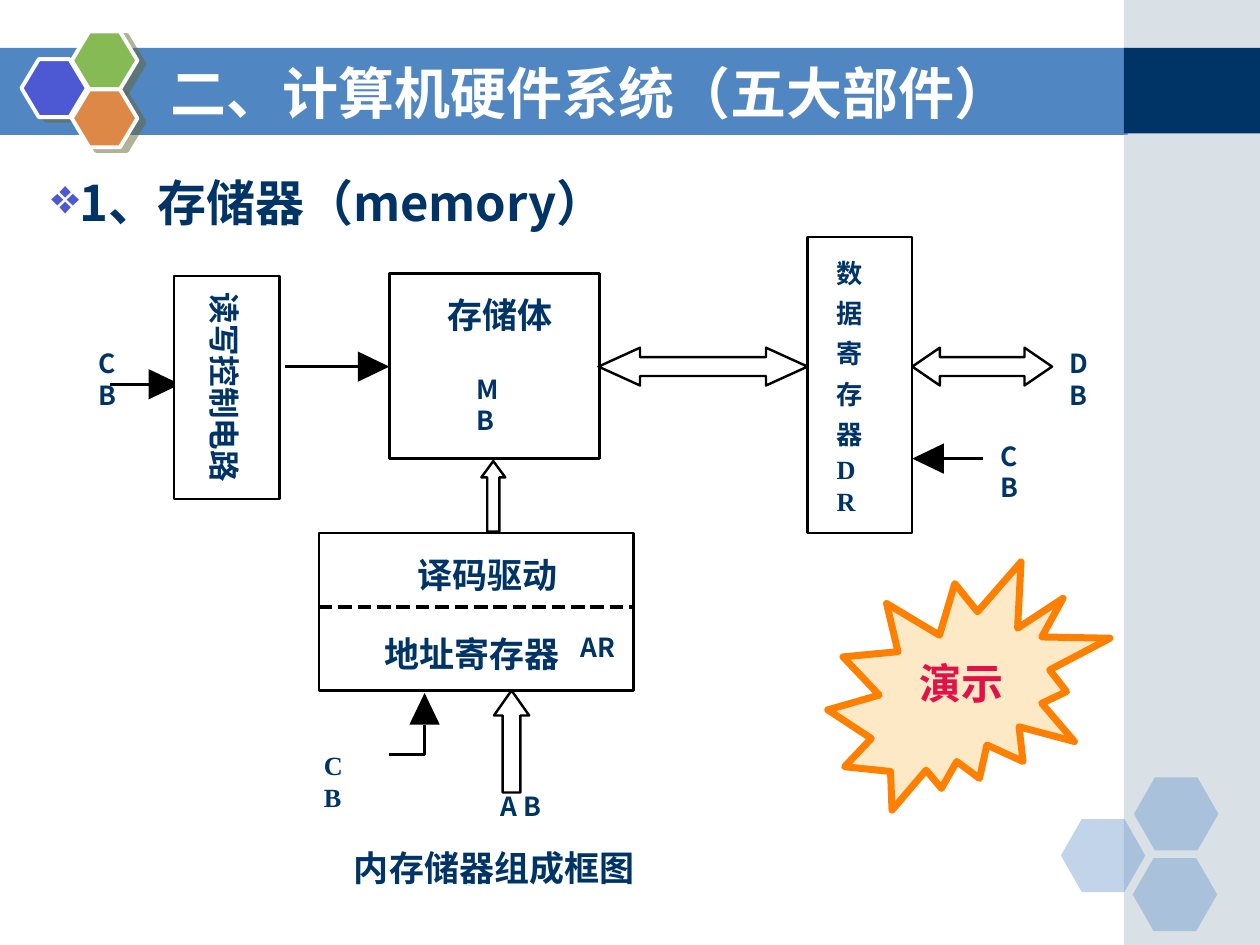
from dataclasses import dataclass

from lxml import etree
from pptx import Presentation
from pptx.dml.color import RGBColor
from pptx.enum.shapes import MSO_CONNECTOR, MSO_SHAPE
from pptx.enum.text import MSO_ANCHOR, PP_ALIGN
from pptx.oxml.ns import qn
from pptx.util import Inches, Pt

RECT, HEX = MSO_SHAPE.RECTANGLE, MSO_SHAPE.HEXAGON
SEAL = MSO_SHAPE.EXPLOSION2
WIDE, UP = MSO_SHAPE.LEFT_RIGHT_ARROW, MSO_SHAPE.UP_ARROW
LINE = MSO_CONNECTOR.STRAIGHT
TOP, MIDDLE = MSO_ANCHOR.TOP, MSO_ANCHOR.MIDDLE
LEFT, CENTER = PP_ALIGN.LEFT, PP_ALIGN.CENTER

SANS, SERIF = "Noto Sans CJK SC", "Times New Roman"
THIN = 1.38
COLORS = {
    "white": "FFFFFF", "black": "000000", "navy": "003366",
    "blue": "5086C2", "gray": "A0B5C4", "violet": "4C59D2",
    "green": "85BA54", "rust": "DE8848", "olive": "666633",
    "cream": "FDE9C6", "orange": "FF7F00", "red": "E41048",
}


@dataclass
class Block:
    kind: int
    box: tuple[float, float, float, float]
    fill: str = "white"
    line: str | None = "black"
    width: float = THIN
    adj: tuple[float, ...] = ()
    alpha: int = 100


@dataclass
class Label:
    text: str
    box: tuple[float, float, float, float]
    size: int = 15
    font: str = SANS
    wrap: bool = False
    turn: int = 0


@dataclass
class Arrow:
    start: tuple[float, float]
    tip: tuple[float, float]


def color(name: str) -> RGBColor:
    return RGBColor.from_string(COLORS[name])


def add(parent, tag: str, **attrs):
    return etree.SubElement(parent, qn(tag), {k: str(v) for k, v in attrs.items()})


def draw_block(shapes, item: Block):
    shape = shapes.add_shape(item.kind, *map(Inches, item.box))
    shape.shadow.inherit = False
    shape.fill.solid()
    shape.fill.fore_color.rgb = color(item.fill)
    if item.alpha < 100:
        tone = shape.fill._xPr.find(qn("a:solidFill"))[0]
        add(tone, "a:alpha", val=item.alpha * 1000)
    if item.line:
        shape.line.color.rgb = color(item.line)
        shape.line.width = Pt(item.width)
    else:
        shape.line.fill.background()
    for i, value in enumerate(item.adj):
        shape.adjustments[i] = value
    return shape


def draw_shade(shape) -> None:
    effects = shape._element.spPr.find(qn("a:effectLst"))
    shade = add(effects, "a:outerShdw", dist=Pt(4.5), dir=27 * 60000, algn="ctr", rotWithShape=0)
    tone = add(shade, "a:srgbClr", val=COLORS["olive"])
    add(tone, "a:alpha", val=50000)


def draw_line(shapes, start, end, width: float = THIN):
    line = shapes.add_connector(LINE, *map(Inches, (*start, *end)))
    line.line.color.rgb = color("black")
    line.line.width = Pt(width)
    add(line._element.spPr, "a:effectLst")
    return line


def draw_arrow(shapes, item: Arrow) -> None:
    (x, y), (tx, ty) = item.start, item.tip
    span = abs(tx - x) + abs(ty - y)
    dx, dy = (tx - x) / span, (ty - y) / span
    bx, by = tx - 0.25 * dx, ty - 0.25 * dy
    draw_line(shapes, item.start, (bx, by))
    wx, wy = 0.12 * dy, 0.12 * dx
    pen = shapes.build_freeform(Inches(bx + wx), Inches(by + wy), scale=1.0)
    pen.add_line_segments([(Inches(tx), Inches(ty)), (Inches(bx - wx), Inches(by - wy))])
    head = pen.convert_to_shape()
    head.shadow.inherit = False
    head.fill.solid()
    head.fill.fore_color.rgb = color("black")
    head.line.fill.background()


def set_text(frame, text: str, size: int, tone: str = "navy", font: str = SANS,
             align=LEFT, anchor=TOP, wrap: bool = True, bullet: str = "") -> None:
    frame.word_wrap = wrap
    frame.vertical_anchor = anchor
    frame.text = text
    para = frame.paragraphs[0]
    para.alignment = align
    if bullet:
        para.line_spacing = 0.8
        props = para._p.get_or_add_pPr()
        props.set("marL", str(Inches(0.2)))
        props.set("indent", str(Inches(-0.2)))
        add(add(props, "a:buClr"), "a:srgbClr", val=COLORS["violet"])
        add(props, "a:buChar", char=bullet)
    para.font.size, para.font.bold, para.font.name = Pt(size), True, font
    para.font.color.rgb = color(tone)
    add(para._p.pPr.find(qn("a:defRPr")), "a:ea", typeface=font)


def draw_label(shapes, item: Label) -> None:
    box = shapes.add_textbox(*map(Inches, item.box))
    box.rotation = item.turn
    frame = box.text_frame
    frame.margin_left = frame.margin_right = frame.margin_top = frame.margin_bottom = 0
    set_text(frame, item.text, item.size, font=item.font, wrap=item.wrap)


BACK = [
    Block(RECT, (0, 0.38, 8.95, 0.69), "blue", None),
    Block(RECT, (8.92, 0, 1.08, 7.5), "gray", None, alpha=40),
    Block(RECT, (8.92, 0.38, 1.08, 0.68), "navy", None),
] + [
    Block(HEX, (x, y, 0.67, 0.58), "blue", None, adj=(0.286,), alpha=35)
    for x, y in ((8.42, 6.5), (9, 6.17), (8.99, 6.81))
]
CELLS = [
    Block(HEX, (x, y, 0.52, 0.46), fill, "white", 2.25, (0.3,))
    for x, y, fill in ((0.17, 0.47, "violet"), (0.57, 0.25, "green"), (0.57, 0.71, "rust"))
]
ARROWS = [
    Arrow((0.87, 3.05), (1.43, 3.05)),
    Arrow((2.26, 2.91), (3.09, 2.91)),
    Arrow((7.8, 3.64), (7.24, 3.64)),
    Arrow((3.37, 5.99), (3.37, 5.5)),
]
BLOCKS = [
    Block(SEAL, (6.57, 4.46, 2.24, 1.97), "cream", "orange", 4),
    Block(RECT, (1.38, 2.19, 0.84, 1.77)),
    Block(RECT, (3.09, 2.17, 1.67, 1.47)),
    Block(RECT, (2.53, 4.23, 2.5, 1.25)),
    Block(RECT, (6.41, 1.88, 0.83, 2.35)),
    Block(WIDE, (4.75, 2.76, 1.66, 0.3), adj=(0.5, 1.1)),
    Block(WIDE, (7.24, 2.76, 1.11, 0.3), adj=(0.5, 0.73)),
    Block(UP, (3.92, 5.48, 0.28, 0.81), adj=(0.5, 0.71)),
    Block(UP, (3.82, 3.66, 0.19, 0.56), adj=(0.5, 0.68)),
]
LABELS = [
    Label("CB", (0.78, 2.76, 0.21, 0.25), wrap=True),
    Label("DB", (8.49, 2.76, 0.21, 0.25), wrap=True),
    Label("CB", (7.94, 3.49, 0.21, 0.25), wrap=True),
    Label("CB", (2.57, 5.95, 0.28, 0.25), font=SERIF, wrap=True),
    Label("A B", (3.97, 6.27, 0.42, 0.25)),
    Label("内存储器组成框图", (2.81, 6.72, 2.24, 0.33), 20),
    Label("读写控制电路", (1.03, 2.93, 1.51, 0.3), 18, turn=90),
    Label("存储体", (3.55, 2.33, 0.84, 0.33), 20),
    Label("M B", (3.78, 2.96, 0.31, 0.25), wrap=True),
    Label("译码驱动", (3.31, 4.39, 1.12, 0.33), 20),
    Label("地址寄存器", (3.05, 5.02, 1.4, 0.33), 20),
    Label("AR", (4.61, 5.01, 0.3, 0.25)),
    Label("DR", (6.64, 3.6, 0.29, 0.25), font=SERIF, wrap=True),
] + [
    Label(char, (6.64, 2.04 + 0.32 * i, 0.21, 0.25))
    for i, char in enumerate("数据寄存器")
]


def main() -> None:
    deck = Presentation()
    deck.slide_width, deck.slide_height = Inches(10), Inches(7.5)
    slide = deck.slides.add_slide(deck.slide_layouts[5])
    shapes = slide.shapes

    # Backdrop
    for item in BACK:
        draw_block(shapes, item)
    for item in CELLS:
        draw_shade(draw_block(shapes, item))

    # Memory diagram
    for item in ARROWS:
        draw_arrow(shapes, item)
    draw_line(shapes, (3.09, 5.99), (3.37, 5.99))
    for item in BLOCKS:
        draw_block(shapes, item)
    split = draw_line(shapes, (2.53, 4.82), (5.03, 4.82), 2.25)
    dash = add(split.line._get_or_add_ln(), "a:custDash")
    add(dash, "a:ds", d=350000, sp=145000)
    for item in LABELS:
        draw_label(shapes, item)

    # Burst caption, heading and title
    demo = shapes.add_textbox(*map(Inches, (6.65, 5.17, 1.97, 0.5)))
    set_text(demo.text_frame, "演示", 24, "red", align=CENTER, anchor=MIDDLE)
    head = shapes.add_textbox(*map(Inches, (0.31, 1.41, 8.68, 0.53)))
    set_text(head.text_frame, "1、存储器（memory）", 28, bullet="❖")
    title = shapes.title
    title.left, title.top, title.width, title.height = map(Inches, (1.25, 0.42, 7.33, 0.62))
    set_text(title.text_frame, "二、计算机硬件系统（五大部件）", 32, "white", anchor=MIDDLE)
    shapes._spTree.append(title._element)

    deck.save("out.pptx")


if __name__ == "__main__":
    main()
